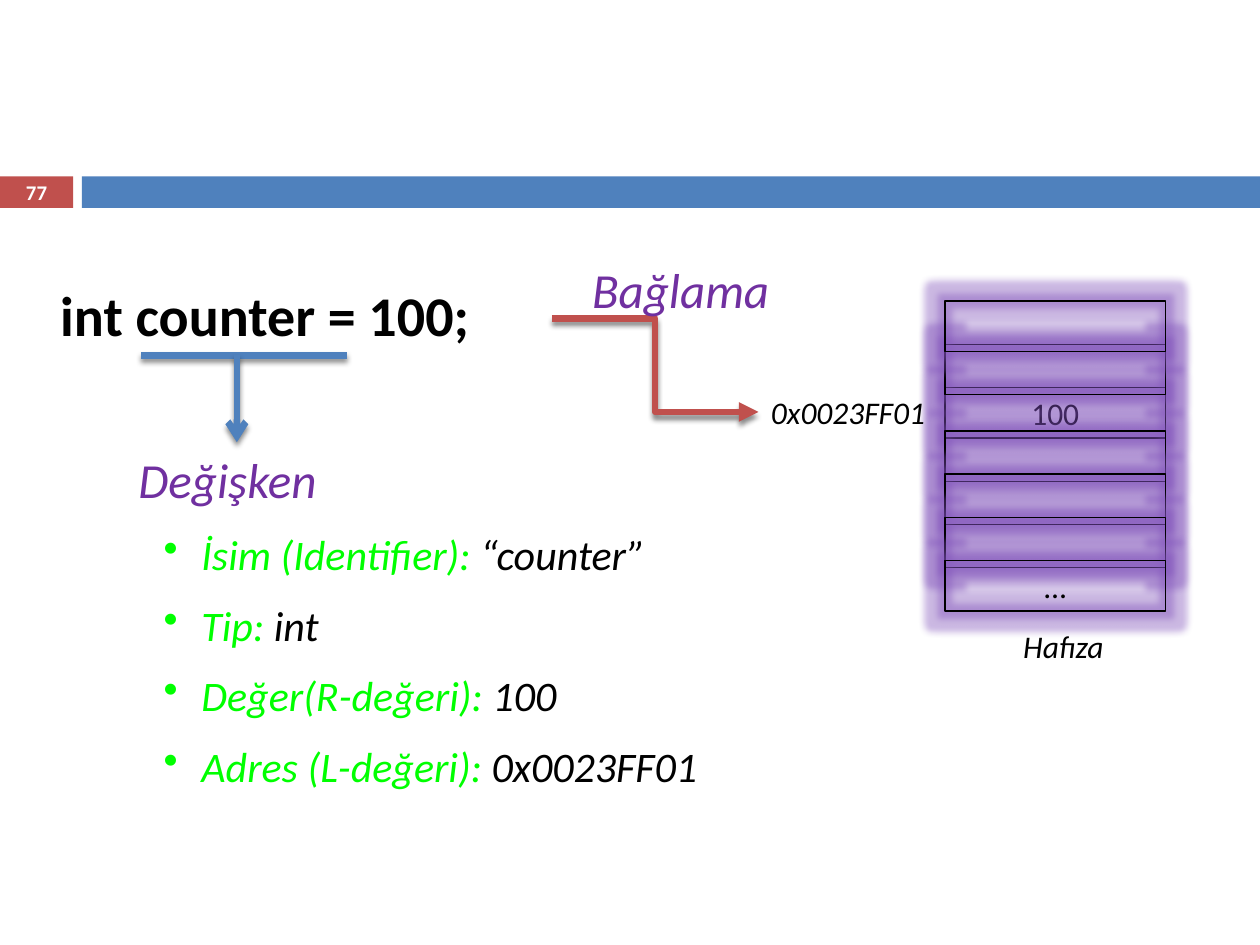
import pptx
import pptx.util
import pptx.dml.color
import pptx.enum.shapes
import pptx.enum.text
import pptx.oxml
import pptx.oxml.ns

Inches = pptx.util.Inches
ALIGN = pptx.enum.text.PP_ALIGN
ANCHOR = pptx.enum.text.MSO_ANCHOR
CONNECTOR = pptx.enum.shapes.MSO_CONNECTOR
RECTANGLE = pptx.enum.shapes.MSO_SHAPE.RECTANGLE
NAMESPACE = pptx.oxml.ns.nsdecls("a")

BLACK, WHITE, BLUE, RED = "000000", "FFFFFF", "4F81BD", "C0504D"
PURPLE, GREEN, GLOW = "7030A0", "00FF00", "7D4DB9"

SHADOW = (f'<a:effectLst {NAMESPACE}><a:outerShdw blurRad="38100" dist="30000" '
          f'dir="5400000" rotWithShape="0"><a:srgbClr val="{BLACK}">'
          '<a:alpha val="45000"/></a:srgbClr></a:outerShdw></a:effectLst>')
CELL_GLOW = (f'<a:effectLst {NAMESPACE}><a:glow rad="101600"><a:srgbClr val="{GLOW}">'
             '<a:alpha val="40000"/></a:srgbClr></a:glow></a:effectLst>')


def color(value):
    return pptx.dml.color.RGBColor.from_string(value)


def set_all(target, values):
    for name, value in values.items():
        setattr(target, name, value)


def add_run(paragraph, text, size, text_color, **style):
    run = paragraph.add_run()
    run.text = text
    set_all(run.font, {"name": "Calibri", "size": pptx.util.Pt(size), **style})
    run.font.color.rgb = color(text_color)


def set_indent(paragraph, left, hanging, bullet=None):
    properties = paragraph._p.get_or_add_pPr()
    properties.set("marL", str(Inches(left)))
    properties.set("indent", str(-Inches(hanging)))
    if bullet:
        properties.append(pptx.oxml.parse_xml(f'<a:buChar {NAMESPACE} char="{bullet}"/>'))


def add_text(slide, box, text, size, text_color, align=ALIGN.LEFT, frame_format=None, **style):
    shape = slide.shapes.add_textbox(*map(Inches, box))
    set_all(shape.text_frame, {"word_wrap": True, **(frame_format or {})})
    paragraph = shape.text_frame.paragraphs[0]
    paragraph.alignment = align
    add_run(paragraph, text, size, text_color, **style)
    return shape.text_frame


def add_bar(slide, box, fill):
    bar = slide.shapes.add_shape(RECTANGLE, *map(Inches, box))
    bar.shadow.inherit = False
    bar.fill.solid()
    bar.fill.fore_color.rgb = color(fill)
    bar.line.fill.background()


def add_memory_cell(slide, box, text):
    cell = slide.shapes.add_shape(RECTANGLE, *map(Inches, box))
    cell.fill.background()
    cell.line.color.rgb = color(BLACK)
    cell.line.width = pptx.util.Pt(0.75)
    cell._element.spPr.append(pptx.oxml.parse_xml(CELL_GLOW))
    if text:
        cell.text_frame.vertical_anchor = ANCHOR.TOP
        paragraph = cell.text_frame.paragraphs[0]
        paragraph.alignment = ALIGN.CENTER
        add_run(paragraph, text, 18, BLACK)


def add_line(slide, kind, start, end, line_color, arrow=None):
    connector = slide.shapes.add_connector(kind, *map(Inches, start + end))
    connector.line.color.rgb = color(line_color)
    connector.line.width = pptx.util.Pt(3.75)
    if arrow:
        connector.line._get_or_add_ln().append(
            pptx.oxml.parse_xml(f'<a:tailEnd {NAMESPACE} type="{arrow}"/>'))
    connector._element.spPr.append(pptx.oxml.parse_xml(SHADOW))


def add_memory(slide):
    top, pitch = 2.39, 2.06 / 6
    labels = {2: "100", 6: "…"}
    for row in (2, 3, 4, 1, 0, 5, 6):
        add_memory_cell(slide, (7.5, top + row * pitch, 1.75, 0.4), labels.get(row))
    add_text(slide, (6.02, 3.07, 1.48, 0.4), "0x0023FF01", 18, BLACK, italic=True)
    add_text(slide, (7.75, 4.93, 1.38, 0.4), "Hafıza", 18, BLACK, ALIGN.CENTER, italic=True)


def add_variable_details(slide):
    frame = add_text(slide, (1, 3.52, 5.75, 3), "Değişken", 28, PURPLE, italic=True)
    details = [
        ("İsim (Identifier): ", "“counter”"),
        ("Tip: ", "int"),
        ("Değer(R-değeri): ", "100"),
        ("Adres (L-değeri):", " 0x0023FF01"),
    ]
    for label, value in details:
        paragraph = frame.add_paragraph()
        set_indent(paragraph, 0.5, 0.3, "•")
        set_all(paragraph, {"level": 1, "space_before": pptx.util.Pt(11.5)})
        add_run(paragraph, label, 24, GREEN, italic=True)
        add_run(paragraph, value, 24, BLACK, italic=True)


def main():
    presentation = pptx.Presentation()
    set_all(presentation, {"slide_width": Inches(10), "slide_height": Inches(7.5)})
    slide = presentation.slides.add_slide(presentation.slide_layouts[6])

    # Header band and slide number
    add_bar(slide, (0, 1.4, 0.58, 0.25), RED)
    add_bar(slide, (0.65, 1.4, 9.35, 0.25), BLUE)
    add_text(slide, (0, 1.39, 0.58, 0.27), "77", 11.9, WHITE, ALIGN.CENTER,
             {"vertical_anchor": ANCHOR.MIDDLE, "margin_top": 0, "margin_bottom": 0}, bold=True)

    # Declaration and memory
    declaration = add_text(slide, (0.38, 2.18, 4, 0.71), "int counter = 100;", 32, BLACK, bold=True)
    set_indent(declaration.paragraphs[0], 0.35, 0.35)
    add_memory(slide)

    # Variable: underline, arrow and details
    add_line(slide, CONNECTOR.STRAIGHT, (1.12, 2.82), (2.75, 2.82), BLUE)
    add_line(slide, CONNECTOR.STRAIGHT, (1.88, 2.82), (1.88, 3.51), BLUE, "arrow")
    add_variable_details(slide)

    # Binding to the address
    add_line(slide, CONNECTOR.ELBOW, (4.38, 2.53), (6.02, 3.27), RED, "triangle")
    add_text(slide, (4.6, 2.01, 1.62, 0.57), "Bağlama", 28, PURPLE,
             frame_format={"word_wrap": False}, italic=True)

    presentation.save("out.pptx")


if __name__ == "__main__":
    main()
